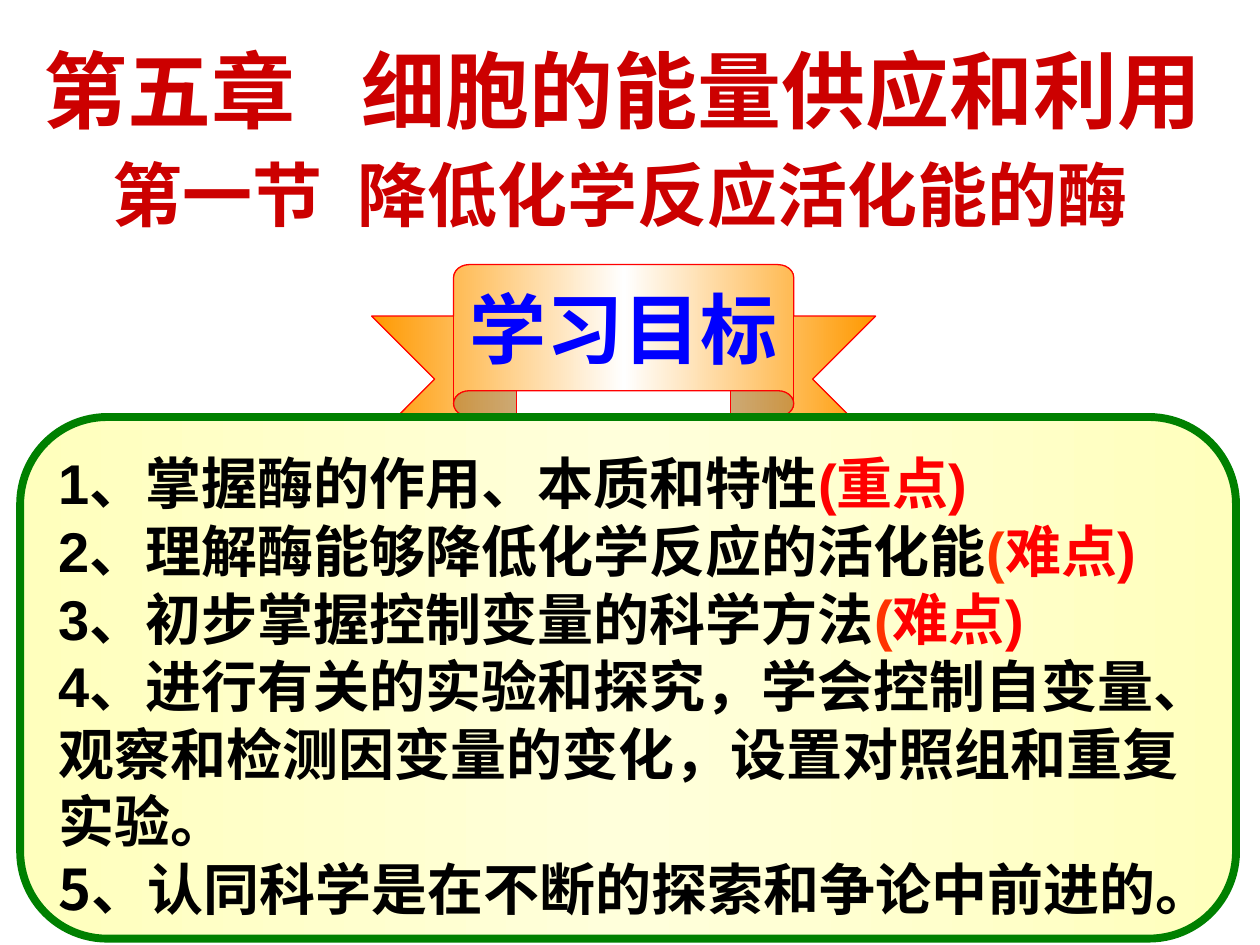
from copy import deepcopy

from lxml import etree
from pptx import Presentation
from pptx import util as u
from pptx.dml.color import RGBColor
from pptx.enum import shapes, text
from pptx.oxml import ns

CRIMSON = RGBColor(0xCC, 0x00, 0x00)
RED = RGBColor(0xFF, 0x00, 0x00)
VERMILION = RGBColor(0xFF, 0x33, 0x00)
BLUE = RGBColor(0x00, 0x00, 0xFF)
BLACK = RGBColor(0x00, 0x00, 0x00)
GREEN = RGBColor(0x00, 0x80, 0x00)
ORANGE = RGBColor(0xFF, 0x99, 0x00)
WHITE = RGBColor(0xFF, 0xFF, 0xFF)
CREAM = RGBColor(0xFF, 0xFF, 0xBD)
IVORY = RGBColor(0xFF, 0xFF, 0xDB)

LATIN, HAN = "Arial", "Noto Sans CJK JP"
CELL = u.Inches(0.1)
LINE_RATIO = 1.206
SPACE_WIDTH = 0.278

OBJECTIVES = [
    [("1、掌握酶的作用、本质和特性", BLACK, LATIN), ("(重点)", RED, LATIN)],
    [("2、理解酶能够降低化学反应的活化能", BLACK, LATIN),
     ("(", VERMILION, LATIN), ("难点)", RED, LATIN)],
    [("3、初步掌握控制变量的科学方法", BLACK, LATIN),
     ("(", VERMILION, LATIN), ("难点", RED, HAN), (")", RED, LATIN)],
    [("4、进行有关的实验和探究，学会控制自变量、", BLACK, LATIN)],
    [("观察和检测因变量的变化，设置对照组和重复", BLACK, LATIN)],
    [("实验。", BLACK, LATIN)],
    [("5、认同科学是在不断的探索和争论中前进的。", BLACK, HAN)],
]


def grid(box):
    return [round(cells * CELL) for cells in box]


def apply(target, values):
    for name, value in values.items():
        setattr(target, name, value)


def add_run(paragraph, words, size, color, latin=LATIN):
    run = paragraph.add_run()
    run.text = words
    apply(run.font, {"size": u.Pt(size), "bold": True, "name": latin})
    run.font.color.rgb = color
    east_asian = etree.SubElement(run.font._element, ns.qn("a:ea"))
    east_asian.set("typeface", HAN)
    return run


def format_frame(frame, anchor, wrap):
    apply(frame, {"vertical_anchor": anchor, "word_wrap": wrap,
                  "auto_size": text.MSO_AUTO_SIZE.NONE})


def format_paragraph(paragraph, size, alignment):
    apply(paragraph, {"alignment": alignment,
                      "line_spacing": u.Pt(size * LINE_RATIO)})


def paint(shape, edge, middle, line_color, line_width):
    shape.shadow.inherit = False
    shape.fill.gradient()
    shape.fill.gradient_angle = 0
    stops = shape._element.spPr.find(".//" + ns.qn("a:gsLst"))
    stops.insert(1, deepcopy(stops[0]))
    for stop, color, position in zip(shape.fill.gradient_stops,
                                     (edge, middle, edge), (0, 0.5, 1)):
        stop.color.rgb = color
        stop.position = position
    shape.line.color.rgb = line_color
    shape.line.width = u.Pt(line_width)


def add_heading(slide, box, number, topic, size, gap_spaces, alignment):
    frame = slide.shapes.add_textbox(*grid(box)).text_frame
    format_frame(frame, text.MSO_ANCHOR.TOP, False)
    heading = frame.paragraphs[0]
    format_paragraph(heading, size, alignment)
    add_run(heading, number, size, CRIMSON)
    gap = add_run(heading, " ", size, CRIMSON)
    extra = (gap_spaces - 1) * SPACE_WIDTH * size
    gap.font._element.set("spc", str(round(extra * 100)))
    add_run(heading, topic, size, CRIMSON)


def add_ribbon(slide, box, label):
    ribbon = slide.shapes.add_shape(shapes.MSO_SHAPE.UP_RIBBON, *grid(box))
    ribbon.adjustments[0] = 0.29
    ribbon.adjustments[1] = 0.675
    paint(ribbon, ORANGE, WHITE, RED, 0.75)
    format_frame(ribbon.text_frame, text.MSO_ANCHOR.MIDDLE, False)
    caption = ribbon.text_frame.paragraphs[0]
    format_paragraph(caption, 44, text.PP_ALIGN.CENTER)
    add_run(caption, label, 44, BLUE)


def add_objectives(slide, box, objectives):
    panel = slide.shapes.add_shape(shapes.MSO_SHAPE.ROUNDED_RECTANGLE,
                                   *grid(box))
    panel.adjustments[0] = 0.167
    paint(panel, CREAM, IVORY, GREEN, 4.5)
    frame = panel.text_frame
    format_frame(frame, text.MSO_ANCHOR.TOP, False)
    for index, objective in enumerate(objectives):
        line = frame.add_paragraph() if index else frame.paragraphs[0]
        format_paragraph(line, 32, text.PP_ALIGN.LEFT)
        for words, color, latin in objective:
            add_run(line, words, 32, color, latin)


def main():
    deck = Presentation()
    deck.slide_width, deck.slide_height = grid((100, 75))
    slide = deck.slides.add_slide(deck.slide_layouts[6])
    add_ribbon(slide, (29.5, 21, 40, 14.1), "学习目标")
    add_objectives(slide, (1.6, 33.1, 96.5, 41.4), OBJECTIVES)
    add_heading(slide, (4.3, 11.5, 89.8, 7.7), "第一节",
                "降低化学反应活化能的酶", 40, 2, text.PP_ALIGN.CENTER)
    add_heading(slide, (2.5, 2.5, 93.2, 9), "第五章",
                "细胞的能量供应和利用", 48, 3, text.PP_ALIGN.LEFT)
    deck.save("out.pptx")


if __name__ == "__main__":
    main()
